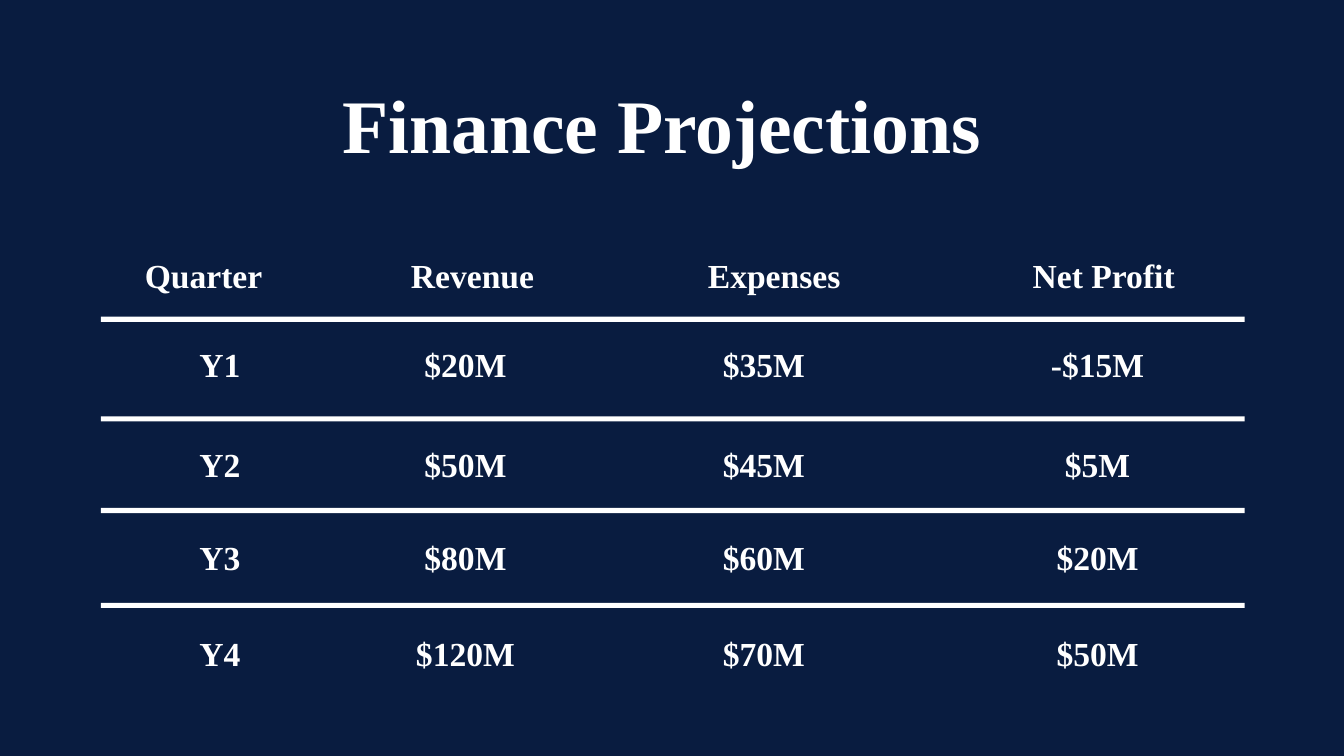
from dataclasses import dataclass

from pptx import Presentation
from pptx.dml.color import RGBColor
from pptx.enum.shapes import MSO_SHAPE as Shape
from pptx.enum.text import MSO_AUTO_SIZE as AutoSize, PP_ALIGN as Align
from pptx.util import Cm, Pt

TITLE = "Finance Projections "
COLUMNS = [
    {"heading": "Quarter", "left": 2.54, "width": 5.18, "value_left": 2.95},
    {"heading": "Revenue ", "left": 8.69, "width": 6.65, "value_left": 9.14},
    {"heading": "Expenses", "left": 16.08, "width": 6.86, "value_left": 16.66},
    {"heading": "Net Profit", "left": 24.26, "width": 7.11, "value_left": 25.07},
]
ROWS = [
    {"rule_top": 7.98, "top": 8.53, "values": ("Y1", "$20M", "$35M", "-$15M")},
    {"rule_top": 10.49, "top": 11.05, "values": ("Y2", "$50M", "$45M", "$5M")},
    {"rule_top": 12.8, "top": 13.41, "values": ("Y3", "$80M", "$60M", "$20M")},
    {"rule_top": 15.19, "top": 15.82, "values": ("Y4", "$120M", "$70M", "$50M")},
]
HEADING_TOP = 6.3
CELL_HEIGHT = 1.28
VALUE_WIDTH = 5.18
RULE_HEIGHT = 0.13


@dataclass(frozen=True)
class Theme:
    background: RGBColor = RGBColor(0x09, 0x1C, 0x40)
    foreground: RGBColor = RGBColor(0xFF, 0xFF, 0xFF)
    font: str = "Times New Roman"
    title_size: int = 54
    body_size: int = 24


THEME = Theme()


def add_text(page, text, *, left, top, width, height=CELL_HEIGHT, size=THEME.body_size):
    box = page.shapes.add_textbox(Cm(left), Cm(top), Cm(width), Cm(height))
    frame = box.text_frame
    frame.word_wrap = True
    frame.auto_size = AutoSize.SHAPE_TO_FIT_TEXT
    para = frame.paragraphs[0]
    para.alignment = Align.CENTER
    span = para.add_run()
    span.text = text
    span.font.name = THEME.font
    span.font.size = Pt(size)
    span.font.bold = True
    span.font.color.rgb = THEME.foreground


def add_rule(page, top):
    left = COLUMNS[0]["left"]
    right = COLUMNS[-1]["left"] + COLUMNS[-1]["width"]
    rule = page.shapes.add_shape(
        Shape.RECTANGLE, Cm(left), Cm(top), Cm(right - left), Cm(RULE_HEIGHT)
    )
    rule.shadow.inherit = False
    rule.fill.solid()
    rule.fill.fore_color.rgb = THEME.foreground
    rule.line.fill.background()


def main():
    deck = Presentation()
    deck.slide_width, deck.slide_height = Cm(33.87), Cm(19.05)
    page = deck.slides.add_slide(deck.slide_layouts[6])
    page.background.fill.solid()
    page.background.fill.fore_color.rgb = THEME.background

    add_text(page, TITLE, left=7.01, top=1.83, width=19.81, height=2.57,
             size=THEME.title_size)
    for column in COLUMNS:
        add_text(page, column["heading"], left=column["left"], top=HEADING_TOP,
                 width=column["width"])
    for row in ROWS:
        add_rule(page, row["rule_top"])
        for column, value in zip(COLUMNS, row["values"]):
            add_text(page, value, left=column["value_left"], top=row["top"],
                     width=VALUE_WIDTH)
    deck.save("out.pptx")


if __name__ == "__main__":
    main()
